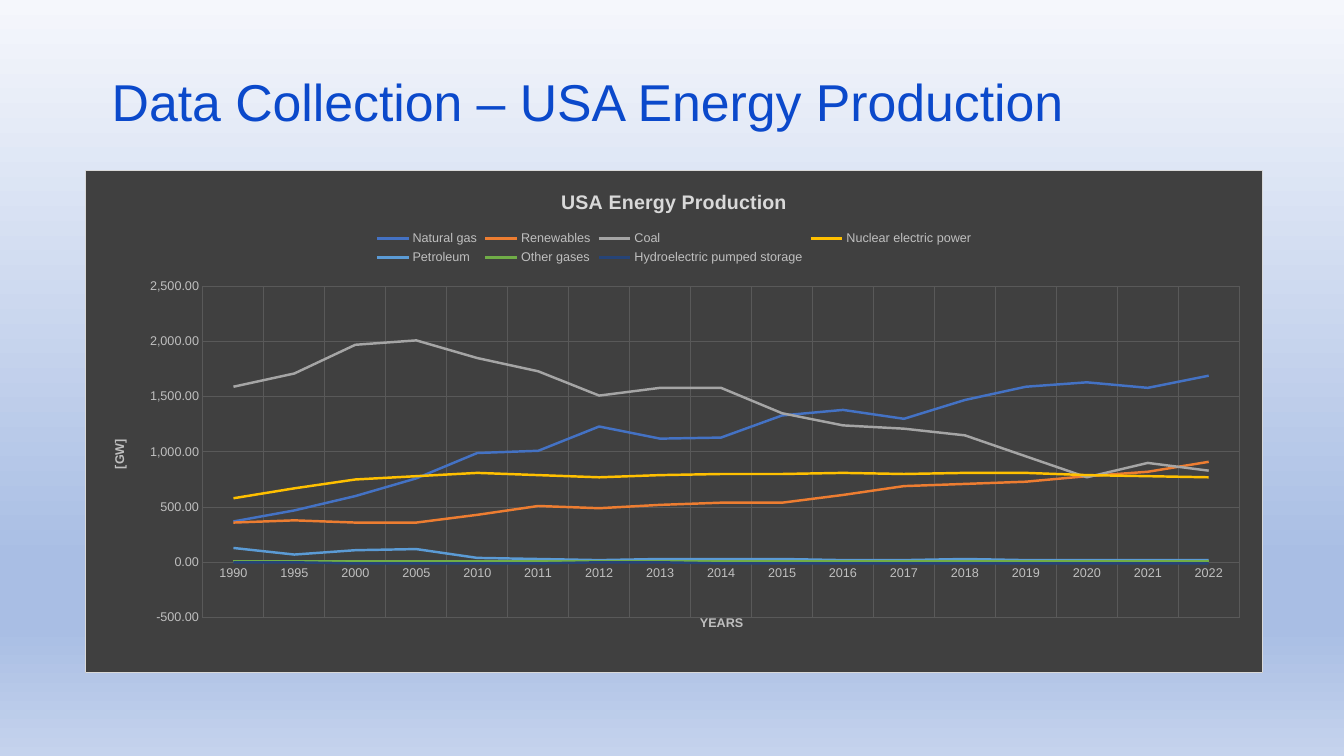
from dataclasses import dataclass

from lxml import etree
from pptx import Presentation
from pptx.chart.data import CategoryChartData
from pptx.dml.color import RGBColor
from pptx.enum.chart import XL_CHART_TYPE, XL_LEGEND_POSITION, XL_TICK_MARK
from pptx.enum.text import MSO_ANCHOR
from pptx.oxml import parse_xml
from pptx.oxml.ns import nsdecls, qn
from pptx.util import Inches, Pt

FONT = "Arial"
COLORS = {
    "heading": "0B49CB",
    "panel": "404040",
    "border": "D9D9D9",
    "grid": "595959",
    "label": "BFBFBF",
    "gas": "4472C4",
    "renewables": "ED7D31",
    "coal": "A5A5A5",
    "nuclear": "FFC000",
    "petroleum": "5B9BD5",
    "other": "70AD47",
    "hydro": "264478",
}
BACKGROUND_STOPS = [(0, "F5F7FC"), (74, "A9BEE4"), (83, "A9BEE4"), (100, "C5D3ED")]
YEARS = ["1990", "1995", "2000", "2005"] + [str(year) for year in range(2010, 2023)]


@dataclass(frozen=True)
class EnergySource:
    name: str
    color: str
    values: list[int]


SOURCES = [
    EnergySource("Natural gas", "gas", [370, 470, 600, 760, 990, 1010, 1230, 1120, 1130,
                                        1330, 1380, 1300, 1470, 1590, 1630, 1580, 1690]),
    EnergySource("Renewables", "renewables", [360, 380, 360, 360, 430, 510, 490, 520, 540,
                                              540, 610, 690, 710, 730, 780, 820, 910]),
    EnergySource("Coal", "coal", [1590, 1710, 1970, 2010, 1850, 1730, 1510, 1580, 1580,
                                  1350, 1240, 1210, 1150, 960, 770, 900, 830]),
    EnergySource("Nuclear electric power", "nuclear", [580, 670, 750, 780, 810, 790, 770, 790, 800,
                                                       800, 810, 800, 810, 810, 790, 780, 770]),
    EnergySource("Petroleum", "petroleum", [130, 70, 110, 120, 40, 30, 20, 30, 30,
                                            30, 20, 20, 30, 20, 20, 20, 20]),
    EnergySource("Other gases", "other", [10] * 17),
    EnergySource("Hydroelectric pumped storage", "hydro",
                 [0, 0, -10, -10, -10, -10, 0, 0] + [-10] * 9),
]


def rgb(name: str) -> RGBColor:
    return RGBColor.from_string(COLORS[name])


def style_font(font, size: float, color: str, bold: bool = False) -> None:
    font.name = FONT
    font.size = Pt(size)
    font.bold = bold
    font.color.rgb = rgb(color)


def paint_background(page) -> None:
    fill = page.background.fill
    fill.gradient()
    fill.gradient_angle = 270
    stops = page.element.find(".//" + qn("a:gsLst"))
    for stop in list(stops):
        stops.remove(stop)
    for percent, color in BACKGROUND_STOPS:
        stop = etree.SubElement(stops, qn("a:gs"), pos=str(percent * 1000))
        etree.SubElement(stop, qn("a:srgbClr"), val=color)


def add_heading(page, text: str) -> None:
    box = page.shapes.add_textbox(Inches(1.01), Inches(0.76), Inches(11.5), Inches(0.6))
    frame = box.text_frame
    frame.word_wrap = True
    frame.vertical_anchor = MSO_ANCHOR.MIDDLE
    para = frame.paragraphs[0]
    para.line_spacing = 0.8
    span = para.add_run()
    span.text = text
    style_font(span.font, 37, "heading")


def place(element, index: int, **fractions: float) -> None:
    """Give a chart part a manual layout in fractions of the chart."""
    for old in element.findall(qn("c:layout")):
        element.remove(old)
    layout = etree.Element(qn("c:layout"))
    manual = etree.SubElement(layout, qn("c:manualLayout"))
    if "w" in fractions:
        etree.SubElement(manual, qn("c:layoutTarget"), val="inner")
    for mode in ("xMode", "yMode"):
        etree.SubElement(manual, qn(f"c:{mode}"), val="edge")
    for key, value in fractions.items():
        etree.SubElement(manual, qn(f"c:{key}"), val=str(value))
    element.insert(index, layout)


def write_title(title, text: str, size: float, color: str) -> None:
    span = title.text_frame.paragraphs[0].add_run()
    span.text = text
    style_font(span.font, size, color, bold=True)


def style_axis(axis, title: str, x: float, y: float) -> None:
    axis.major_tick_mark = XL_TICK_MARK.NONE
    axis.minor_tick_mark = XL_TICK_MARK.NONE
    axis.format.line.fill.background()
    axis.has_major_gridlines = True
    grid = axis.major_gridlines.format.line
    grid.width = Pt(0.75)
    grid.color.rgb = rgb("grid")
    style_font(axis.tick_labels.font, 9, "label")
    write_title(axis.axis_title, title, 9, "label")
    place(axis.axis_title.element, 1, x=x, y=y)


def fill_panel(chart) -> None:
    panel = parse_xml(
        f'<c:spPr {nsdecls("c", "a")}>'
        f'<a:solidFill><a:srgbClr val="{COLORS["panel"]}"/></a:solidFill>'
        f'<a:ln w="{Pt(0.75)}"><a:solidFill><a:srgbClr val="{COLORS["border"]}"/>'
        "</a:solidFill></a:ln></c:spPr>"
    )
    chart.element.find(qn("c:chart")).addnext(panel)


def add_energy_chart(page) -> None:
    data = CategoryChartData(number_format="#,##0.00")
    data.categories = YEARS
    for source in SOURCES:
        data.add_series(source.name, source.values)
    chart = page.shapes.add_chart(XL_CHART_TYPE.LINE, Inches(0.84), Inches(1.69),
                                  Inches(11.69), Inches(4.99), data).chart
    style_font(chart.font, 10, "label")
    fill_panel(chart)
    chart.has_title = True
    write_title(chart.chart_title, "USA Energy Production", 14, "border")
    chart.has_legend = True
    chart.legend.position = XL_LEGEND_POSITION.TOP
    chart.legend.include_in_layout = False
    style_font(chart.legend.font, 9, "label")

    style_axis(chart.category_axis, "YEARS", 0.52, 0.88)
    style_axis(chart.value_axis, "[GW]", 0.02, 0.53)
    chart.value_axis.minimum_scale = -500
    chart.value_axis.maximum_scale = 2500
    chart.value_axis.major_unit = 500
    chart.value_axis.tick_labels.number_format = "#,##0.00"
    chart.value_axis.tick_labels.number_format_is_linked = False
    place(chart.element.find(".//" + qn("c:plotArea")), 0, x=0.1, y=0.23, w=0.88, h=0.66)

    chart.plots[0].vary_by_categories = False
    for series, source in zip(chart.plots[0].series, SOURCES):
        series.smooth = False
        series.format.line.width = Pt(1.75)
        series.format.line.color.rgb = rgb(source.color)


def main() -> None:
    deck = Presentation()
    deck.slide_width = Inches(13.33)
    deck.slide_height = Inches(7.5)
    page = deck.slides.add_slide(deck.slide_layouts[6])
    paint_background(page)
    add_heading(page, "Data Collection – USA Energy Production")
    add_energy_chart(page)
    deck.save("out.pptx")


if __name__ == "__main__":
    main()
